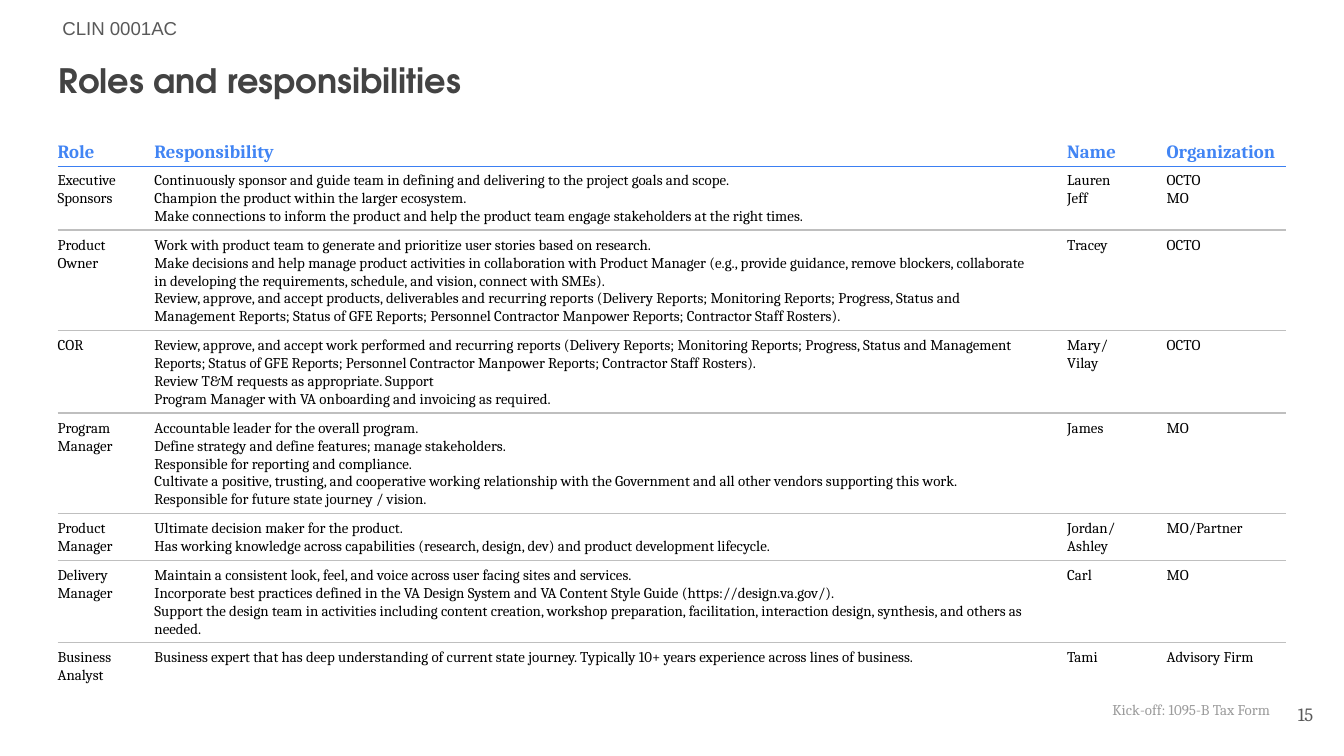
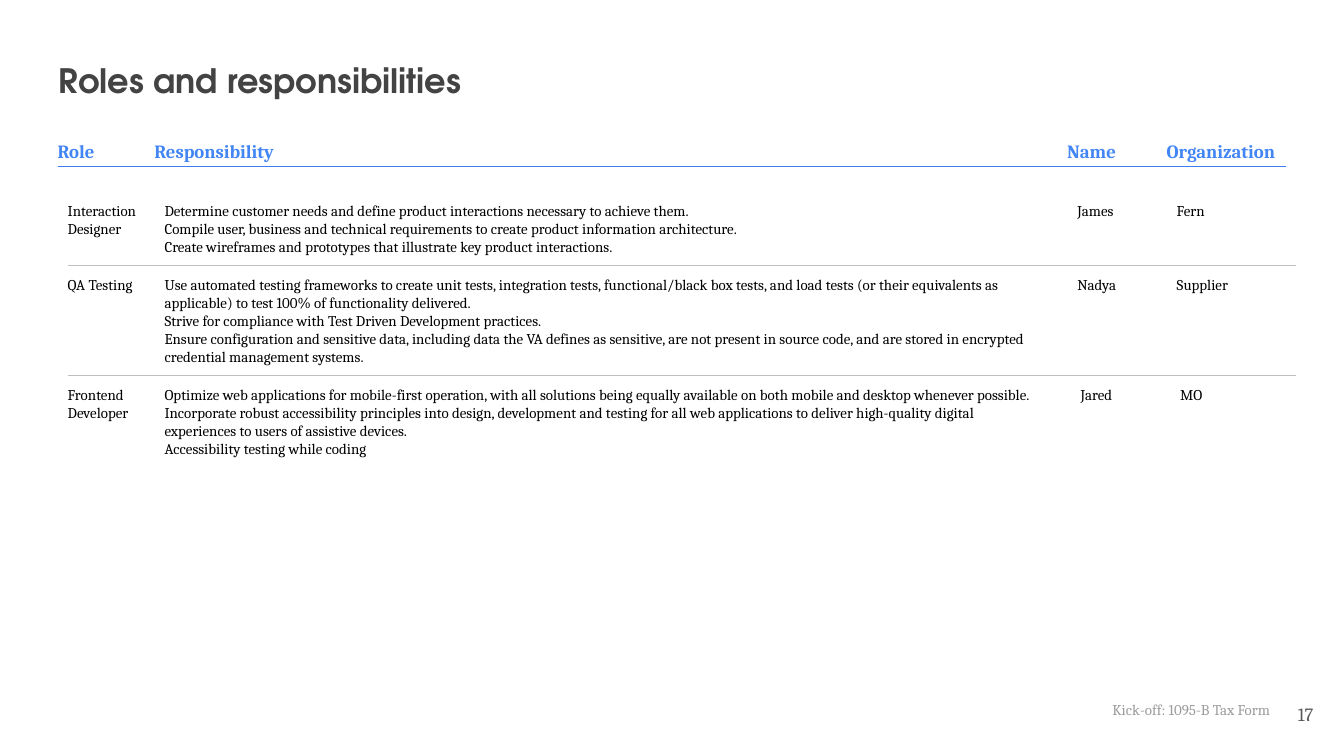
"""Build the two roles and responsibilities pages of the kick-off deck."""
from dataclasses import dataclass

from lxml import etree
from pptx import Presentation
from pptx.dml.color import RGBColor
from pptx.enum import shapes, text
from pptx.oxml import ns
from pptx.util import Cm, Pt


@dataclass(frozen=True)
class Theme:
    body: str = "Cambria"
    display: str = "TeX Gyre Adventor"
    label: str = "Arial"
    paper: str = "FFFFFF"
    ink: str = "000000"
    title: str = "434343"
    muted: str = "595959"
    footer: str = "9B9B9B"
    heading: str = "4285F4"
    header_line: str = "3B7FF2"
    row_line: str = "BFBFBF"
    title_size: int = 18
    heading_size: int = 10
    body_size: int = 8


theme = Theme()


def write(page, place, lines, size=theme.body_size, color=theme.ink, font=theme.body,
          bold=False, inset=0, align=text.PP_ALIGN.LEFT, anchor=text.MSO_ANCHOR.TOP,
          filled=False):
    area = [Cm(length) for length in place]
    if filled:
        box = page.shapes.add_shape(shapes.MSO_SHAPE.RECTANGLE, *area)
        box.shadow.inherit = False
        box.fill.solid()
        box.fill.fore_color.rgb = RGBColor.from_string(theme.paper)
        box.line.fill.background()
    else:
        box = page.shapes.add_textbox(*area)
    frame = box.text_frame
    frame.word_wrap = True
    frame.vertical_anchor = anchor
    frame.margin_left = frame.margin_right = Cm(inset)
    frame.margin_top = frame.margin_bottom = Cm(inset)
    for index, line in enumerate(lines):
        para = frame.paragraphs[0] if index == 0 else frame.add_paragraph()
        para.alignment = align
        span = para.add_run()
        span.text = line
        span.font.name = font
        span.font.size = Pt(size)
        span.font.bold = bold
        span.font.color.rgb = RGBColor.from_string(color)


def rule(page, left, right, top, color):
    line = page.shapes.add_connector(
        shapes.MSO_CONNECTOR.STRAIGHT, Cm(left), Cm(top), Cm(right), Cm(top))
    line.line.color.rgb = RGBColor.from_string(color)
    line.line.width = Pt(0.75)
    etree.SubElement(line._element.spPr, ns.qn("a:effectLst"))


columns = [("Role", 1.09, 1.32), ("Responsibility", 2.92, 16.74),
           ("Name", 20.17, 1.35), ("Organization", 22.05, 2.26)]
table_left, table_right = 1.09, 24.31
line_height = 0.34

leadership = [
    ("Executive Sponsors", 3, [
        "Continuously sponsor and guide team in defining and delivering to the project goals and scope.",
        "Champion the product within the larger ecosystem.",
        "Make connections to inform the product and help the product team engage stakeholders "
        "at the right times.",
    ], ["Lauren", "Jeff"], ["OCTO", "MO"]),
    ("Product Owner", 5, [
        "Work with product team to generate and prioritize user stories based on research.",
        "Make decisions and help manage product activities in collaboration with Product Manager "
        "(e.g., provide guidance, remove blockers, collaborate in developing the requirements, "
        "schedule, and vision, connect with SMEs).",
        "Review, approve, and accept products, deliverables and recurring reports (Delivery Reports; "
        "Monitoring Reports; Progress, Status and Management Reports; Status of GFE Reports; "
        "Personnel Contractor Manpower Reports; Contractor Staff Rosters).",
    ], ["Tracey"], ["OCTO"]),
    ("COR", 4, [
        "Review, approve, and accept work performed and recurring reports (Delivery Reports; "
        "Monitoring Reports; Progress, Status and Management Reports; Status of GFE Reports; "
        "Personnel Contractor Manpower Reports; Contractor Staff Rosters).",
        "Review T&M requests as appropriate. Support",
        "Program Manager with VA onboarding and invoicing as required.",
    ], ["Mary/ Vilay"], ["OCTO"]),
    ("Program Manager", 5, [
        "Accountable leader for the overall program.",
        "Define strategy and define features; manage stakeholders.",
        "Responsible for reporting and compliance.",
        "Cultivate a positive, trusting, and cooperative working relationship with the Government "
        "and all other vendors supporting this work.",
        "Responsible for future state journey / vision.",
    ], ["James"], ["MO"]),
    ("Product Manager", 2, [
        "Ultimate decision maker for the product.",
        "Has working knowledge across capabilities (research, design, dev) and product "
        "development lifecycle.",
    ], ["Jordan/ Ashley"], ["MO/Partner"]),
    ("Delivery Manager", 4, [
        "Maintain a consistent look, feel, and voice across user facing sites and services.",
        "Incorporate best practices defined in the VA Design System and VA Content Style Guide "
        "(https://design.va.gov/).",
        "Support the design team in activities including content creation, workshop preparation, "
        "facilitation, interaction design, synthesis, and others as needed.",
    ], ["Carl"], ["MO"]),
    ("Business Analyst", 1, [
        "Business expert that has deep understanding of current state journey. Typically 10+ years "
        "experience across lines of business.",
    ], ["Tami"], ["Advisory Firm"]),
]

delivery = [
    ("Interaction Designer", 3, [
        "Determine customer needs and define product interactions necessary to achieve them.",
        "Compile user, business and technical requirements to create product information architecture.",
        "Create wireframes and prototypes that illustrate key product interactions.",
    ], ["James"], ["Fern"]),
    ("QA Testing", 5, [
        "Use automated testing frameworks to create unit tests, integration tests, functional/black "
        "box tests, and load tests (or their equivalents as applicable) to test 100% of "
        "functionality delivered.",
        "Strive for compliance with Test Driven Development practices.",
        "Ensure configuration and sensitive data, including data the VA defines as sensitive, are "
        "not present in source code, and are stored in encrypted credential management systems.",
    ], ["Nadya"], ["Supplier"]),
    ("Frontend Developer", 5, [
        "Optimize web applications for mobile-first operation, with all solutions being equally "
        "available on both mobile and desktop whenever possible.",
        "Incorporate robust accessibility principles into design, development and testing for all "
        "web applications to deliver high-quality digital experiences to users of assistive devices.",
        "Accessibility testing while coding",
    ], [" Jared"], [" MO"]),
]

pages = [
    dict(number="15", label="CLIN 0001AC", rows=leadership, top=3.23, gap=0.2, shift=0, extra=0),
    dict(number="17", label=None, rows=delivery, top=3.81, gap=0.38, shift=0.19, extra=0.15),
]

deck = Presentation()
deck.slide_width, deck.slide_height = Cm(25.4), Cm(14.29)

for plan in pages:
    page = deck.slides.add_slide(deck.slide_layouts[6])
    if plan["label"]:
        write(page, (0.86, 0.1, 16.3, 1.07), [plan["label"]], theme.heading_size,
              theme.muted, theme.label, inset=0.32)
    write(page, (0.86, 0.89, 23.67, 1.6), ["Roles and responsibilities"], theme.title_size,
          theme.title, theme.display, bold=True, inset=0.25)
    write(page, (23.55, 12.95, 1.52, 1.09), [plan["number"]], theme.heading_size, theme.muted,
          inset=0.25, align=text.PP_ALIGN.RIGHT, anchor=text.MSO_ANCHOR.MIDDLE)
    write(page, (20.37, 13.08, 3.89, 0.99), ["Kick-off: 1095-B Tax Form"], color=theme.footer,
          inset=0.25, align=text.PP_ALIGN.RIGHT)

    for heading, left, width in columns:
        write(page, (left, 2.64, width, 0.43), [heading], theme.heading_size, theme.heading,
              bold=True, anchor=text.MSO_ANCHOR.BOTTOM)
    rule(page, table_left, table_right, 3.15, theme.header_line)

    top, gap, shift = plan["top"], plan["gap"], plan["shift"]
    for index, (role, depth, duties, names, organizations) in enumerate(plan["rows"]):
        if index:
            rule(page, table_left + shift, table_right + shift, top - gap / 2, theme.row_line)
        cells = [[role], duties, names, organizations]
        depths = [len(role.split()), depth, len(" ".join(names).split()), len(organizations)]
        for (heading, left, width), lines, count in zip(columns, cells, depths):
            room = plan["extra"] if heading == "Role" else 0
            write(page, (left + shift, top, width + room, count * line_height), lines, filled=True)
        top += depth * line_height + gap

deck.save("out.pptx")
